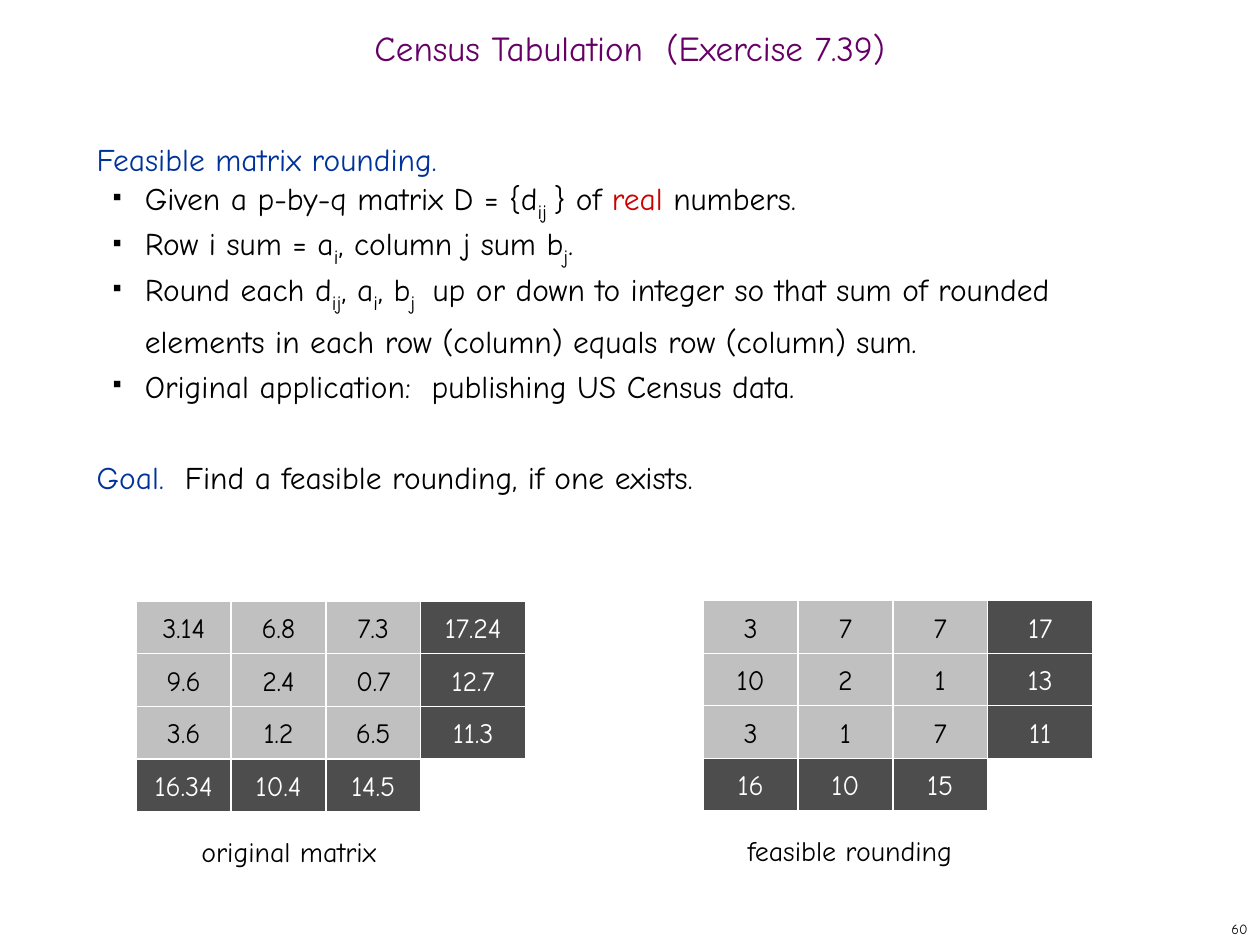
from lxml.etree import SubElement
from pptx import Presentation
from pptx.dml.color import RGBColor
from pptx.enum.shapes import MSO_SHAPE
from pptx.enum.text import MSO_ANCHOR, MSO_AUTO_SIZE, PP_ALIGN
from pptx.oxml.ns import qn
from pptx.util import Cm, Pt

BLACK = RGBColor(0x00, 0x00, 0x00)
WHITE = RGBColor(0xFF, 0xFF, 0xFF)
PURPLE = RGBColor(0x66, 0x00, 0x66)
BLUE = RGBColor(0x00, 0x33, 0x99)
RED = RGBColor(0xCC, 0x00, 0x00)
LIGHT_GRAY = RGBColor(0xC0, 0xC0, 0xC0)
DARK_GRAY = RGBColor(0x4D, 0x4D, 0x4D)

# Run formats of the body text
PLAIN = {"size": Pt(18), "color": BLACK}
HEADING = {"size": Pt(18), "color": BLUE}
EMPHASIS = {"size": Pt(18), "color": RED}
SUBSCRIPT = {"size": Pt(20), "color": BLACK, "baseline": -25000}


def apply(target, formats):
    for name, value in formats.items():
        setattr(target, name, value)


class MatrixSlide:
    font_name = "Comic Neue"
    entry_width, total_width, row_height = 1.91, 2.12, 1.06

    def __init__(self, slide):
        self.slide = slide

    def add_run(self, paragraph, text, size, color, baseline=None):
        run = paragraph.add_run()
        run.text = text
        apply(run.font, {"name": self.font_name, "size": size})
        run.font.color.rgb = color
        if baseline:
            run.font._element.set("baseline", str(baseline))

    def frame(self, left, top, width, height, **formats):
        box = self.slide.shapes.add_textbox(Cm(left), Cm(top), Cm(width), Cm(height))
        apply(box.text_frame, {"word_wrap": True, **formats})
        return box.text_frame

    def label(self, place, text, size, color=BLACK, paragraph_format=None, **frame_format):
        paragraph = self.frame(*place, **frame_format).paragraphs[0]
        apply(paragraph, paragraph_format or {})
        self.add_run(paragraph, text, Pt(size), color)

    def add_bullet(self, paragraph):
        properties = paragraph._p.get_or_add_pPr()
        for name, value in {"marL": Cm(0.97), "indent": Cm(-0.64)}.items():
            properties.set(name, str(int(value)))
        color = SubElement(properties, qn("a:buClr"))
        SubElement(color, qn("a:srgbClr"), val=str(BLACK))
        SubElement(properties, qn("a:buSzPct"), val="35000")
        SubElement(properties, qn("a:buChar"), char="■")

    def body(self, place, paragraphs):
        frame = self.frame(*place)
        for number, (formats, bulleted, runs) in enumerate(paragraphs):
            paragraph = frame.add_paragraph() if number else frame.paragraphs[0]
            apply(paragraph, {"line_spacing": Pt(26), **formats})
            if bulleted:
                self.add_bullet(paragraph)
            for text, style in runs:
                self.add_run(paragraph, text, **style)

    def cell(self, left, top, width, value, is_total):
        cell = self.slide.shapes.add_shape(
            MSO_SHAPE.RECTANGLE, Cm(left), Cm(top), Cm(width), Cm(self.row_height))
        cell.shadow.inherit = False
        cell.fill.solid()
        cell.fill.fore_color.rgb = DARK_GRAY if is_total else LIGHT_GRAY
        cell.line.color.rgb = WHITE
        cell.line.width = Pt(0.75)
        apply(cell.text_frame, {"word_wrap": False, "vertical_anchor": MSO_ANCHOR.MIDDLE})
        paragraph = cell.text_frame.paragraphs[0]
        paragraph.alignment = PP_ALIGN.CENTER
        self.add_run(paragraph, value, Pt(16), WHITE if is_total else BLACK)

    def matrix(self, left, top, rows):
        """Draw the entries, with row sums at the right and column sums below."""
        last_row, last_column = len(rows) - 1, len(rows[0]) - 1
        for i, row in enumerate(rows):
            for j, value in enumerate(row):
                width = self.total_width if j == last_column else self.entry_width
                self.cell(left + j * self.entry_width, top + i * self.row_height,
                          width, value, i == last_row or j == last_column)


def main():
    presentation = Presentation()
    apply(presentation, {"slide_width": Cm(25.4), "slide_height": Cm(19.05)})
    census = MatrixSlide(presentation.slides.add_slide(presentation.slide_layouts[6]))

    # Title
    census.label((0, 0.43, 25.4, 1.27), "Census Tabulation  (Exercise 7.39)", 20, PURPLE,
                 {"alignment": PP_ALIGN.CENTER, "line_spacing": 0.7},
                 vertical_anchor=MSO_ANCHOR.MIDDLE)

    # Problem statement and goal
    bullet = {"level": 1}
    census.body((1.7, 2.54, 21.79, 15.04), [
        ({}, False, [("Feasible matrix rounding.", HEADING)]),
        (bullet, True, [("Given a p-by-q matrix D = {d", PLAIN), ("ij ", SUBSCRIPT),
                        ("} of ", PLAIN), ("real", EMPHASIS), (" numbers.", PLAIN)]),
        (bullet, True, [("Row i sum = a", PLAIN), ("i", SUBSCRIPT),
                        (", column j sum b", PLAIN), ("j", SUBSCRIPT), (".", PLAIN)]),
        (bullet, True, [("Round each d", PLAIN), ("ij", SUBSCRIPT), (", a", PLAIN),
                        ("i", SUBSCRIPT), (", b", PLAIN), ("j ", SUBSCRIPT),
                        (" up or down to integer so that sum of rounded elements "
                         "in each row (column) equals row (column) sum.", PLAIN)]),
        (bullet, True, [("Original application:  publishing US Census data.", PLAIN)]),
        ({"space_before": Pt(26)}, False,
         [("Goal.  ", HEADING), ("Find a feasible rounding, if one exists.", PLAIN)]),
    ])

    # Matrices
    census.matrix(2.75, 12.12, [
        ["3.14", "6.8", "7.3", "17.24"],
        ["9.6", "2.4", "0.7", "12.7"],
        ["3.6", "1.2", "6.5", "11.3"],
        ["16.34", "10.4", "14.5"],
    ])
    census.matrix(14.18, 12.11, [
        ["3", "7", "7", "17"],
        ["10", "2", "1", "13"],
        ["3", "1", "7", "11"],
        ["16", "10", "15"],
    ])

    # Captions
    for place, caption in [((3.81, 16.69, 6.15, 0.94), "original matrix"),
                           ((14.82, 16.67, 6.99, 0.94), "feasible rounding")]:
        census.label(place, caption, 16, auto_size=MSO_AUTO_SIZE.SHAPE_TO_FIT_TEXT)

    # Page number
    census.label((20.11, 18.42, 5.29, 0.63), "60", 8,
                 paragraph_format={"alignment": PP_ALIGN.RIGHT},
                 vertical_anchor=MSO_ANCHOR.MIDDLE)

    presentation.save("out.pptx")


if __name__ == "__main__":
    main()
